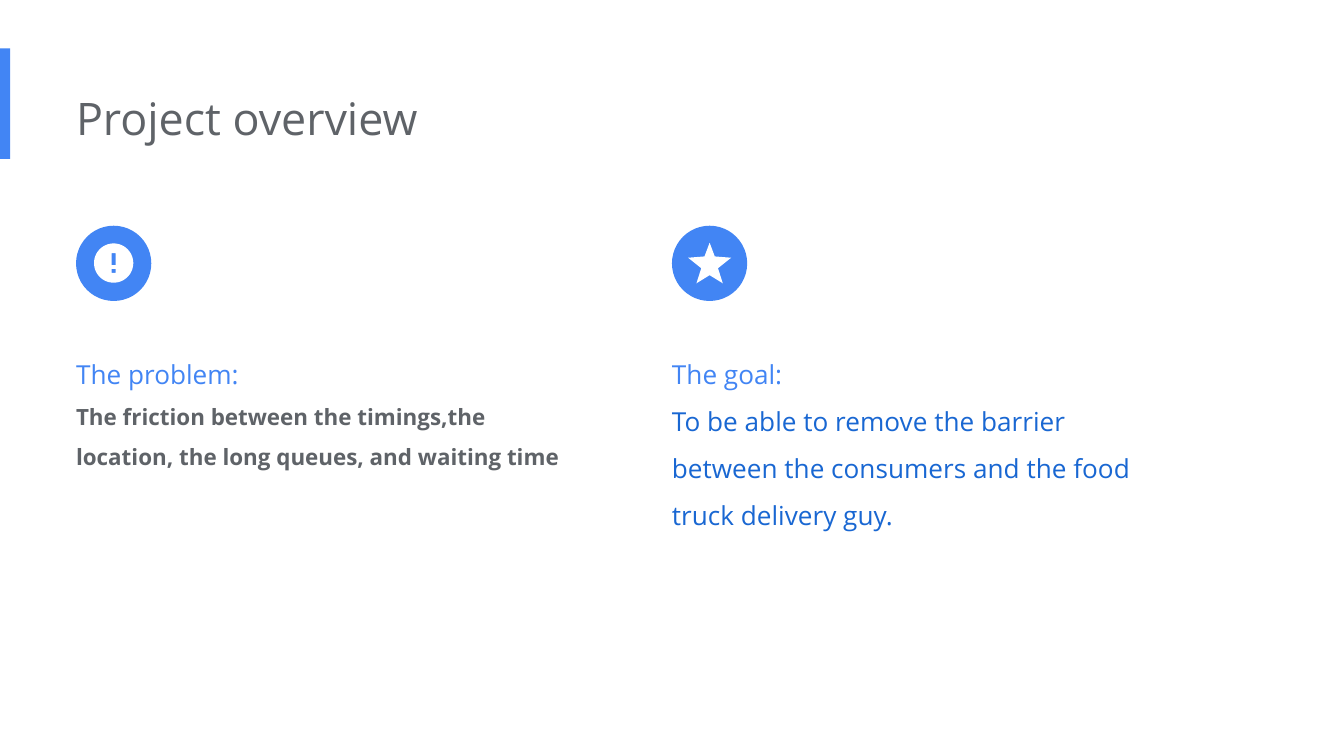
from dataclasses import dataclass
from math import cos, sin, tau

from pptx import Presentation
from pptx.dml.color import RGBColor
from pptx.enum.shapes import MSO_SHAPE
from pptx.enum.text import MSO_AUTO_SIZE
from pptx.util import Inches, Pt


@dataclass(frozen=True)
class Theme:
    """Colours, type sizes and the font of the slide."""
    font: str = "Open Sans"
    blue: str = "4285F4"
    deep_blue: str = "1967D2"
    grey: str = "5F6368"
    white: str = "FFFFFF"
    title: int = 24
    heading: int = 14
    body: int = 12


class Deck:
    """Draws styled elements on a grid of 100 columns with square cells."""

    def __init__(self, prs, theme):
        """Start a blank slide."""
        self.theme = theme
        self.cell = prs.slide_width / 100
        self.s = prs.slides.add_slide(prs.slide_layouts[6])

    def grid(self, *cells):
        """Turn grid cells into slide lengths."""
        return [round(c * self.cell) for c in cells]

    def paint(self, sp, color):
        """Give a shape a flat fill without line or shadow."""
        sp.shadow.inherit = False
        sp.fill.solid()
        sp.fill.fore_color.rgb = RGBColor.from_string(color)
        sp.line.fill.background()

    def shape(self, kind, box, color):
        """Add a preset shape."""
        self.paint(self.s.shapes.add_shape(kind, *self.grid(*box)), color)

    def outline(self, center, contours, color):
        """Add one freeform from contours placed around a center."""
        cx, cy = center
        paths = [[self.grid(cx + x, cy + y) for x, y in c] for c in contours]
        fb = self.s.shapes.build_freeform(*paths[0][0], scale=1.0)
        for i, path in enumerate(paths):
            if i:
                fb.move_to(*path[0])
            fb.add_line_segments(path[1:], close=True)
        self.paint(fb.convert_to_shape(), color)

    def text(self, box, lines, spacing=1.0):
        """Add a text box with one paragraph for each (text, format) pair."""
        tf = self.s.shapes.add_textbox(*self.grid(*box)).text_frame
        frame = {"word_wrap": True, "auto_size": MSO_AUTO_SIZE.SHAPE_TO_FIT_TEXT,
                 "margin_left": 0, "margin_right": Inches(0.1),
                 "margin_top": Inches(0.1), "margin_bottom": Inches(0.1)}
        for name, value in frame.items():
            setattr(tf, name, value)
        for i, (words, (size, color, bold)) in enumerate(lines):
            p = tf.add_paragraph() if i else tf.paragraphs[0]
            p.line_spacing = spacing
            r = p.add_run()
            r.text = words
            style = {"name": self.theme.font, "size": Pt(size), "bold": bold}
            for name, value in style.items():
                setattr(r.font, name, value)
            r.font.color.rgb = RGBColor.from_string(color)


def circle(radius, steps=96):
    """Return the points of a circle around the origin."""
    return [(radius * cos(tau * i / steps), radius * sin(tau * i / steps))
            for i in range(steps)]


def bar(top, bottom, half=0.15):
    """Return an upright bar, wound against the circle to cut a hole."""
    return [(half, top), (-half, top), (-half, bottom), (half, bottom)]


def star():
    """Return a five-pointed star mirrored from its right half."""
    right = [(0, -1.52), (0.38, -0.5), (1.6, -0.4), (0.62, 0.38), (0.98, 1.5)]
    left = [(-x, y) for x, y in reversed(right[1:])]
    return right + [(0, 0.9)] + left


def main():
    """Build the project overview slide."""
    prs = Presentation()
    prs.slide_width = Inches(10)
    prs.slide_height = prs.slide_width * 9 // 16
    t = Theme()
    deck = Deck(prs, t)
    margin = 5.66
    heading = (t.heading, t.blue, False)
    columns = [
        (margin, "The problem:",
         "The friction between the timings,the location, the long queues, and waiting time",
         (t.body, t.grey, True), 11.6,
         [circle(1.46), bar(-0.73, 0.15), bar(0.44, 0.73)]),
        (50, "The goal:",
         "To be able to remove the barrier between the consumers and the food truck delivery guy.",
         (t.heading, t.deep_blue, False), 16.2, [star()]),
    ]

    deck.shape(MSO_SHAPE.RECTANGLE, (0, 3.6, 0.76, 8.23), t.blue)
    deck.text((margin, 5.74, 67.3, 6.1),
              [("Project overview", (t.title, t.grey, False))])
    for left, label, words, style, height, icon in columns:
        deck.shape(MSO_SHAPE.OVAL, (left, 16.8, 5.6, 5.6), t.blue)
        deck.outline((left + 2.8, 19.58), icon, t.white)
        deck.text((left, 24.5, 37.7, height),
                  [(label, heading), (words, style)], spacing=1.5)
    prs.save("out.pptx")


if __name__ == "__main__":
    main()
